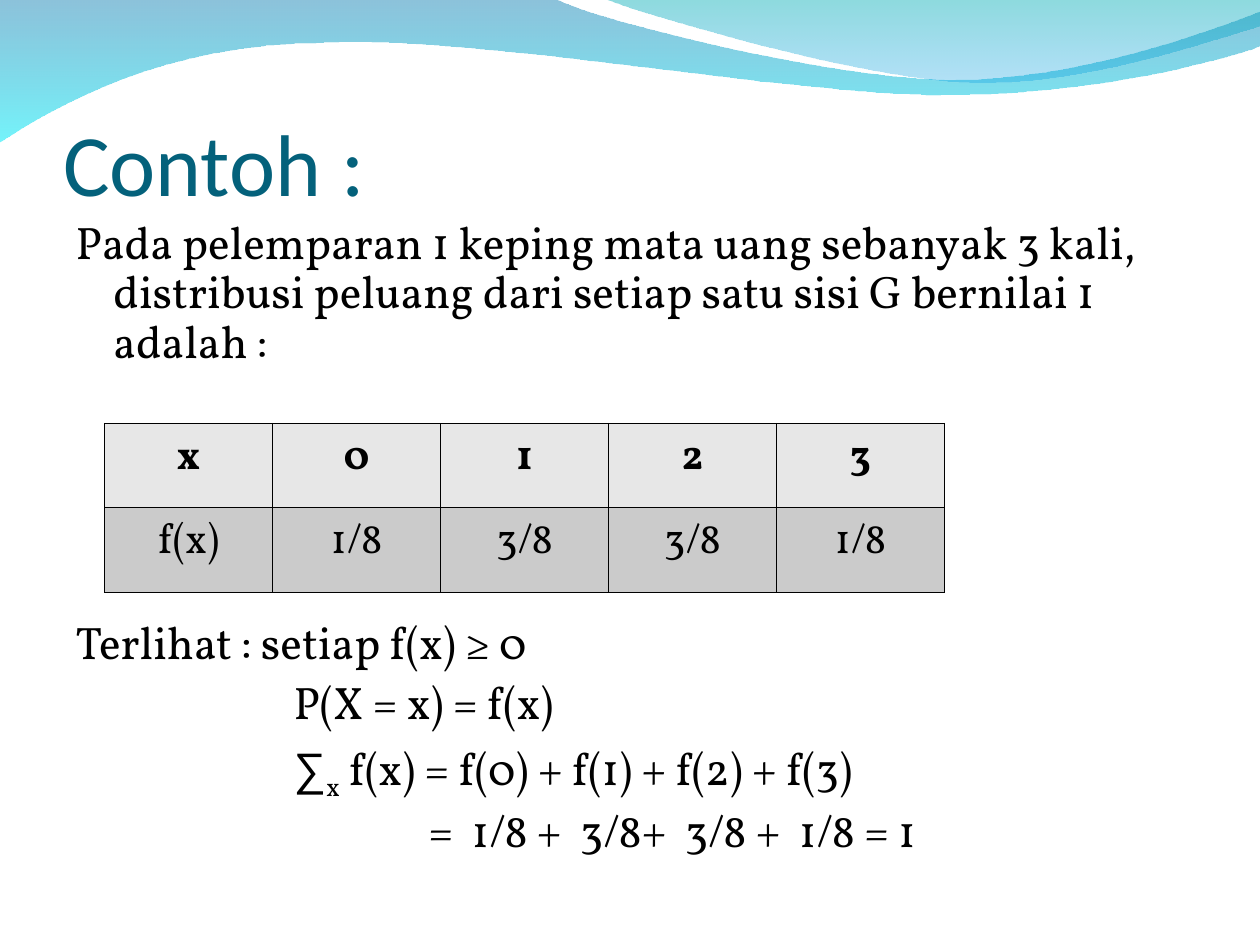
"""Build a slide on the probability distribution of three coin tosses."""
from lxml import etree
from pptx import Presentation, util as u
from pptx.dml.color import RGBColor
from pptx.enum import text
from pptx.oxml.ns import qn

TEAL = RGBColor(0x04, 0x61, 0x7B)
BLACK = RGBColor(0, 0, 0)
ROW_FILLS = RGBColor(0xE7, 0xE7, 0xE7), RGBColor(0xCB, 0xCB, 0xCB)
BODY_FONT = "Vollkorn"
WIDTH, HEIGHT = u.Inches(10), u.Inches(7.5)

TITLE = "Contoh :"
LINES = [
    {"margin": 0.3, "indent": -0.3,
     "runs": [("Pada pelemparan 1 keping mata uang sebanyak 3 kali, "
               "distribusi peluang dari setiap satu sisi G bernilai 1 adalah :", {})]},
    {"margin": 0.3, "indent": -0.3, "before": 144,
     "runs": [("Terlihat : setiap f(x) ≥ 0", {})]},
    {"margin": 1.73, "runs": [("P(X = x) = f(x)", {})]},
    {"margin": 1.73,
     "runs": [("∑", {"font": "Arial"}), ("x", {"baseline": -25000}),
              (" f(x) = f(0) + f(1) + f(2) + f(3)", {})]},
    {"margin": 2.8, "runs": [("=  1/8 +  3/8+  3/8 +  1/8 = 1", {})]},
]
TABLE = [["x", "0", "1", "2", "3"], ["f(x)", "1/8", "3/8", "3/8", "1/8"]]
COLUMN, ROW = WIDTH * 2 // 15, u.Inches(0.67)

# Each step is an end point, or two control points and an end point
WAVES = [
    {"steps": [(0, -0.01), (4.4, -0.01), (4.76, 0.17, 6.64, 0.63, 7.58, 0.63),
               (8.53, 0.63, 9.58, 0.26, 10, 0.09), (10.01, 0.36),
               (9.83, 0.44, 8.7, 0.76, 7.46, 0.75), (6.22, 0.75, 3.82, 0.28, 2.57, 0.34),
               (1.29, 0.35, 0.46, 0.83, -0.01, 1.13)],
     "stops": [(RGBColor(0x00, 0x79, 0xAF), 45), (RGBColor(0x00, 0xEB, 0xF8), 55)]},
    {"steps": [(4.79, -0.01), (5.09, 0.11, 6.82, 0.62, 7.69, 0.65),
               (8.56, 0.69, 9.61, 0.32, 10, 0.21), (10, 0)],
     "stops": [(RGBColor(0x00, 0xAD, 0xB6), 45), (RGBColor(0x00, 0x9B, 0xE5), 30)]},
]


def add_outline(page, steps):
    """Draw a closed outline, joining each three-point step into one curve."""
    start, *rest = [[(u.Inches(x), u.Inches(y)) for x, y in zip(step[::2], step[1::2])]
                    for step in steps]
    builder = page.shapes.build_freeform(*start[0])
    builder.add_line_segments([point for points in rest for point in points], close=True)
    outline = builder.convert_to_shape()
    segments = iter(list(outline.element.iter(qn("a:lnTo"))))
    for points in rest:
        first, *others = [next(segments) for _ in points]
        if others:
            curve = etree.Element(qn("a:cubicBezTo"))
            first.addprevious(curve)
            for segment in (first, *others):
                curve.append(segment[0])
                segment.getparent().remove(segment)
    return outline


def add_wave(page, steps, stops, layer):
    """Draw a translucent gradient wave behind the text."""
    wave = add_outline(page, steps)
    wave.shadow.inherit = False
    wave.line.fill.background()
    wave.fill.gradient()
    wave.fill.gradient_angle = 270
    for stop, (color, _) in zip(wave.fill.gradient_stops, stops):
        stop.color.rgb = color
    colors = wave.element.spPr.iter(qn("a:srgbClr"))
    for color, (_, opacity) in zip(colors, stops):
        etree.SubElement(color, qn("a:alpha"), val=str(opacity * 1000))
    page.shapes._spTree.insert(2 + layer, wave.element)


def write(para, words, size=26, font=BODY_FONT, color=BLACK, bold=False, baseline=0):
    """Add one formatted run to a paragraph."""
    span = para.add_run()
    span.text = words
    span.font.size, span.font.name, span.font.bold = u.Pt(size), font, bold
    span.font.color.rgb = color
    if baseline:
        span.font._element.set("baseline", str(baseline))


def place(box, left, top, width, height):
    """Move and resize a shape in inches."""
    box.left, box.top = u.Inches(left), u.Inches(top)
    box.width, box.height = u.Inches(width), u.Inches(height)


def add_title(page):
    """Format the title placeholder."""
    box = page.shapes.title
    place(box, 0.5, 0.77, 9, 0.93)
    frame = box.text_frame
    frame.auto_size = text.MSO_AUTO_SIZE.NONE
    frame.vertical_anchor = text.MSO_ANCHOR.BOTTOM
    frame.margin_left = frame.margin_right = frame.margin_bottom = 0
    frame.margin_top = u.Inches(0.05)
    frame.paragraphs[0].alignment = text.PP_ALIGN.LEFT
    write(frame.paragraphs[0], TITLE, size=50, font="Calibri", color=TEAL)


def add_line(para, margin, runs, indent=0, before=6.5):
    """Write one unbulleted body line."""
    para.line_spacing, para.space_before = 0.9, u.Pt(before)
    props = para._p.get_or_add_pPr()
    props.set("marL", str(u.Inches(margin)))
    props.set("indent", str(u.Inches(indent)))
    etree.SubElement(props, qn("a:buNone"))
    for words, style in runs:
        write(para, words, **style)


def add_body(page):
    """Fill the body placeholder."""
    box = page.placeholders[1]
    place(box, 0.5, 1.7, 9, 5.21)
    frame = box.text_frame
    frame.auto_size = text.MSO_AUTO_SIZE.NONE
    for number, line in enumerate(LINES):
        add_line(frame.add_paragraph() if number else frame.paragraphs[0], **line)


def add_border(cell):
    """Give a cell thin black edges on all sides."""
    props = cell._tc.get_or_add_tcPr()
    for position, side in enumerate(("lnL", "lnR", "lnT", "lnB")):
        line = etree.Element(qn("a:" + side), w=str(u.Pt(0.45)))
        fill = etree.SubElement(line, qn("a:solidFill"))
        etree.SubElement(fill, qn("a:srgbClr"), val=str(BLACK))
        props.insert(position, line)


def add_distribution(page):
    """Add the table of x and f(x)."""
    rows, columns = len(TABLE), len(TABLE[0])
    table = page.shapes.add_table(rows, columns, u.Inches(0.83), u.Inches(3.36),
                                  COLUMN * columns, ROW * rows).table
    table.horz_banding = False
    for column in table.columns:
        column.width = COLUMN
    for r, values in enumerate(TABLE):
        table.rows[r].height = ROW
        for c, value in enumerate(values):
            cell = table.cell(r, c)
            cell.fill.solid()
            cell.fill.fore_color.rgb = ROW_FILLS[r]
            add_border(cell)
            para = cell.text_frame.paragraphs[0]
            para.alignment = text.PP_ALIGN.CENTER
            write(para, value, size=24, bold=r == 0)


def main():
    """Assemble and save the deck."""
    deck = Presentation()
    deck.slide_width, deck.slide_height = WIDTH, HEIGHT
    page = deck.slides.add_slide(deck.slide_layouts[1])
    for layer, wave in enumerate(WAVES):
        add_wave(page, layer=layer, **wave)
    add_title(page)
    add_body(page)
    add_distribution(page)
    deck.save("out.pptx")


if __name__ == "__main__":
    main()
